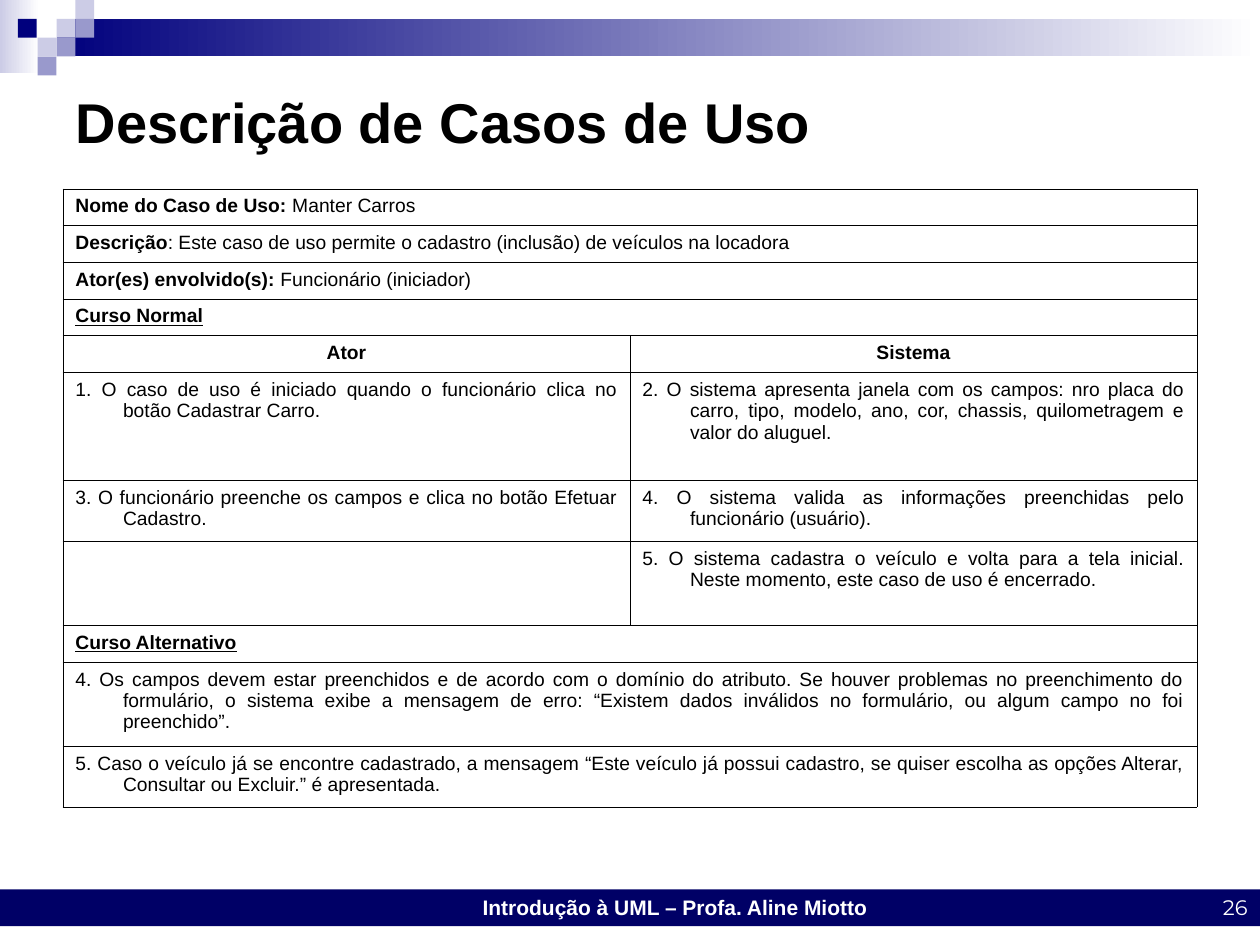
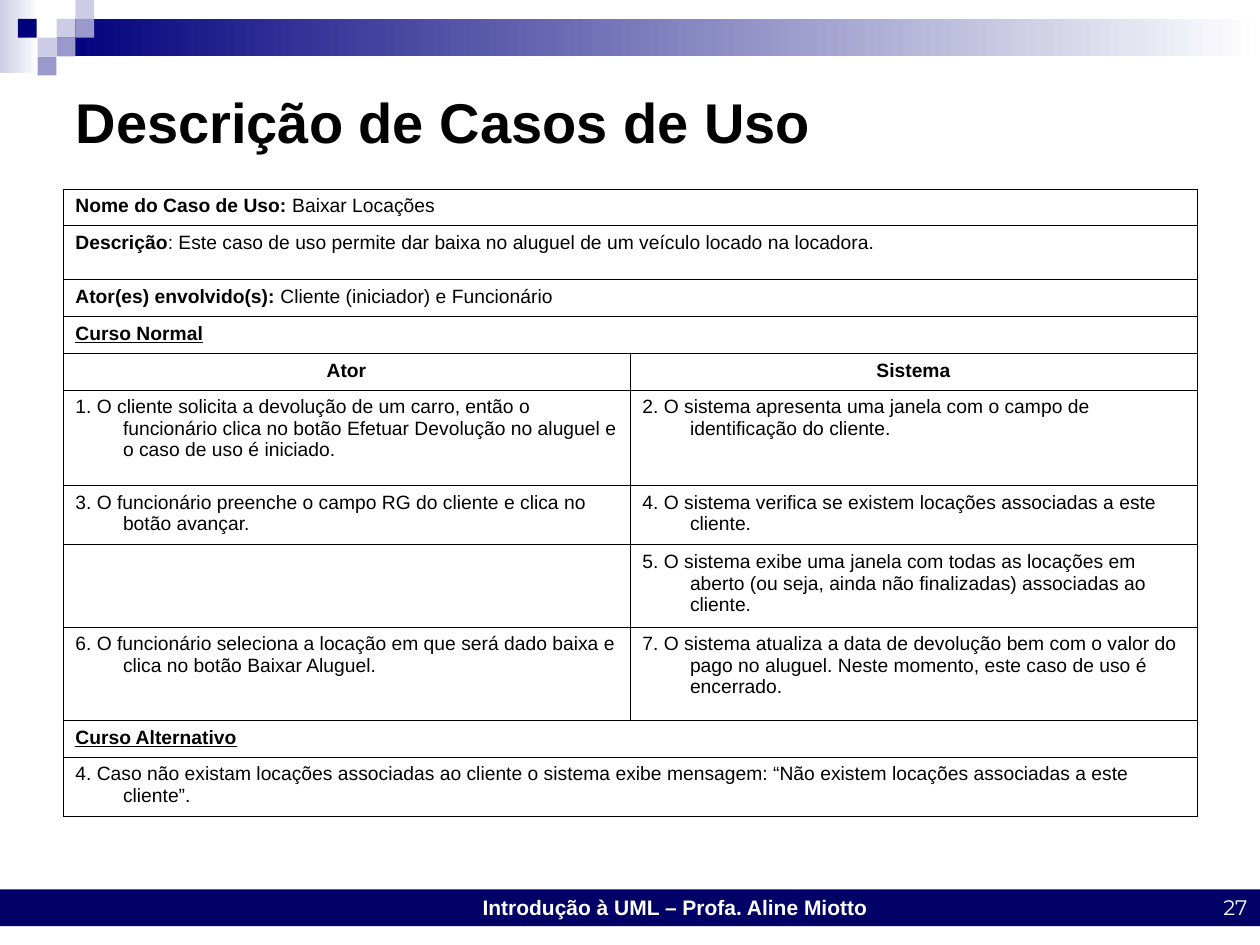
from lxml import etree
from pptx import Presentation
from pptx import util as u
from pptx.dml.color import RGBColor
from pptx.enum import shapes, text
from pptx.oxml import ns

COLORS = {"navy": "00007D", "footer": "000066", "violet": "9999CC",
          "lilac": "CCCCE6", "white": "FFFFFF", "black": "000000"}
TITLE = "Descrição de Casos de Uso"
FOOTER = "Introdução à UML – Profa. Aline Miotto"
LEFT, CENTER, RIGHT, JUSTIFY = (text.PP_ALIGN.LEFT, text.PP_ALIGN.CENTER,
                                text.PP_ALIGN.RIGHT, text.PP_ALIGN.JUSTIFY)

# Table rows are (kind, height in cm, cell texts); a single text spans both columns.
LINE = 0.74
HEADER = ("header", LINE, ["Ator", "Sistema"])
NORMAL = ("section", LINE, ["Curso Normal"])
ALTERNATIVE = ("section", LINE, ["Curso Alternativo"])

USE_CASES = [
    {"number": 26, "step_align": JUSTIFY, "rows": [
        ("field", LINE, [("Nome do Caso de Uso: ", "Manter Carros")]),
        ("field", LINE, [("Descrição", ": Este caso de uso permite o cadastro (inclusão) de veículos na locadora")]),
        ("field", LINE, [("Ator(es) envolvido(s): ", "Funcionário (iniciador)")]),
        NORMAL,
        HEADER,
        ("step", 2.18, ["1. O caso de uso é iniciado quando o funcionário clica no botão Cadastrar Carro.",
                        "2. O sistema apresenta janela com os campos: nro placa do carro, tipo, modelo, "
                        "ano, cor, chassis, quilometragem e valor do aluguel."]),
        ("step", 1.22, ["3. O funcionário preenche os campos e clica no botão Efetuar Cadastro.",
                        "4. O sistema valida as informações preenchidas pelo funcionário (usuário)."]),
        ("step", 1.7, ["", "5. O sistema cadastra o veículo e volta para a tela inicial. "
                           "Neste momento, este caso de uso é encerrado."]),
        ALTERNATIVE,
        ("step", 1.7, ["4. Os campos devem estar preenchidos e de acordo com o domínio do atributo. "
                       "Se houver problemas no preenchimento do formulário, o sistema exibe a mensagem "
                       "de erro: “Existem dados inválidos no formulário, ou algum campo no foi preenchido”."]),
        ("step", 1.22, ["5. Caso o veículo já se encontre cadastrado, a mensagem “Este veículo já possui "
                        "cadastro, se quiser escolha as opções Alterar, Consultar ou Excluir.” é apresentada."]),
    ]},
    {"number": 27, "step_align": LEFT, "rows": [
        ("field", LINE, [("Nome do Caso de Uso: ", "Baixar Locações")]),
        ("field", 1.09, [("Descrição", ": Este caso de uso permite dar baixa no aluguel de um veículo "
                                       "locado na locadora.")]),
        ("field", LINE, [("Ator(es) envolvido(s): ", "Cliente (iniciador) e Funcionário")]),
        NORMAL,
        HEADER,
        ("step", 1.93, ["1. O cliente solicita a devolução de um carro, então o funcionário clica no botão "
                        "Efetuar Devolução no aluguel e o caso de uso é iniciado.",
                        "2. O sistema apresenta uma janela com o campo de identificação do cliente."]),
        ("step", 1.19, ["3. O funcionário preenche o campo RG do cliente e clica no botão avançar.",
                        "4. O sistema verifica se existem locações associadas a este cliente."]),
        ("step", 1.65, ["", "5. O sistema exibe uma janela com todas as locações em aberto "
                            "(ou seja, ainda não finalizadas) associadas ao cliente."]),
        ("step", 1.88, ["6. O funcionário seleciona a locação em que será dado baixa e clica no botão "
                        "Baixar Aluguel.",
                        "7. O sistema atualiza a data de devolução bem com o valor do pago no aluguel. "
                        "Neste momento, este caso de uso é encerrado."]),
        ALTERNATIVE,
        ("step", 1.19, ["4. Caso não existam locações associadas ao cliente o sistema exibe mensagem: "
                        "“Não existem locações associadas a este cliente”."]),
    ]},
]

# Corner mosaic: column, row, colour
SQUARE = 0.38
MOSAIC = [(3, 1, "lilac"), (4, 0, "lilac"), (4, 1, "violet"), (2, 2, "lilac"),
          (0.95, 1, "navy"), (3, 2, "violet"), (2, 3, "violet")]

FONTS = {
    "title": {"name": "Arial", "size": u.Pt(32), "bold": True, "color": "black"},
    "footer": {"name": "Arial", "size": u.Pt(12), "bold": True, "color": "white"},
    "number": {"name": "Montserrat", "size": u.Pt(12), "bold": False, "color": "white"},
    "plain": {"name": "Arial", "size": u.Pt(11), "bold": False, "color": "black"},
}
FONTS["strong"] = {**FONTS["plain"], "bold": True}
FONTS["section"] = {**FONTS["strong"], "underline": True}


def rgb(color):
    return RGBColor.from_string(COLORS[color])


def add_run(p, content, style):
    r = p.add_run()
    r.text = content
    for name, value in FONTS[style].items():
        if name == "color":
            r.font.color.rgb = rgb(value)
        else:
            setattr(r.font, name, value)


def add_band(s, box, start, end=None):
    """Draw a rectangle, plain or fading from left to right."""
    sp = s.shapes.add_shape(shapes.MSO_SHAPE.RECTANGLE, *map(u.Cm, box))
    sp.shadow.inherit = False
    sp.line.fill.background()
    if end is None:
        sp.fill.solid()
        sp.fill.fore_color.rgb = rgb(start)
        return
    sp.fill.gradient()
    sp.fill.gradient_angle = 0
    for stop, position, color in zip(sp.fill.gradient_stops, (0, 1), (start, end)):
        stop.position = position
        stop.color.rgb = rgb(color)


def add_label(s, box, content, style, align, anchor, wrap):
    tf = s.shapes.add_textbox(*map(u.Cm, box)).text_frame
    tf.word_wrap = wrap
    tf.vertical_anchor = anchor
    tf.paragraphs[0].alignment = align
    add_run(tf.paragraphs[0], content, style)


def add_frame(s, number):
    add_band(s, (0, 0, 0.79, 1.47), "lilac", "white")
    add_band(s, (1.14, SQUARE, 24.26, 2 * SQUARE), "navy", "white")
    for col, row, color in MOSAIC:
        add_band(s, (col * SQUARE, row * SQUARE, SQUARE, SQUARE), color)
    add_band(s, (0, 17.93, 25.4, 0.74), "footer")
    add_label(s, (9.47, 17.91, 8.28, 0.76), FOOTER, "footer", CENTER,
              text.MSO_ANCHOR.TOP, False)
    add_label(s, (19.48, 17.4, 5.92, 1.27), str(number), "number", RIGHT,
              text.MSO_ANCHOR.BOTTOM, True)


def format_title(s):
    sp = s.shapes.title
    sp.left, sp.top, sp.width, sp.height = map(u.Cm, (1.27, 1.27, 20.96, 2.34))
    tf = sp.text_frame
    tf.auto_size = text.MSO_AUTO_SIZE.NONE
    tf.vertical_anchor = text.MSO_ANCHOR.MIDDLE
    tf.paragraphs[0].alignment = LEFT
    add_run(tf.paragraphs[0], TITLE, "title")


def set_borders(cell, widths):
    """Put border lines, given as {side: points}, ahead of the cell fill."""
    tc_pr = cell._tc.get_or_add_tcPr()
    for i, side in enumerate("LRTB"):
        ln = etree.Element(ns.qn(f"a:ln{side}"), w=str(u.Pt(widths[side])))
        fill = etree.SubElement(ln, ns.qn("a:solidFill"))
        etree.SubElement(fill, ns.qn("a:srgbClr"), val=COLORS["black"])
        tc_pr.insert(i, ln)


def fill_cell(cell, kind, content, step_align):
    p = cell.text_frame.paragraphs[0]
    p.alignment = {"header": CENTER, "step": step_align}.get(kind, LEFT)
    p_pr = p._p.get_or_add_pPr()
    p_pr.set("marL", str(u.Cm(0.96)))
    p_pr.set("indent", str(u.Cm(-0.96)))
    if kind == "field":
        for part, style in zip(content, ("strong", "plain")):
            add_run(p, part, style)
    elif content:
        add_run(p, content, {"header": "strong", "section": "section"}.get(kind, "plain"))


def add_use_case(s, rows, step_align):
    height = sum(row[1] for row in rows)
    table = s.shapes.add_table(len(rows), 2, *map(u.Cm, (1.27, 3.81, 22.86, height))).table
    table.first_row = table.horz_banding = False
    margins = {"margin_left": 0.25, "margin_right": 0.25, "margin_top": 0.13, "margin_bottom": 0.13}
    for i, (kind, row_height, contents) in enumerate(rows):
        table.rows[i].height = u.Cm(row_height)
        cells = [table.cell(i, col) for col in range(2)]
        for col, cell in enumerate(cells):
            for name, value in margins.items():
                setattr(cell, name, u.Cm(value))
            cell.fill.background()
            widths = dict.fromkeys("LRTB", 0.45)
            if len(contents) == 2:
                widths["RL"[col]] = 0.34
            set_borders(cell, widths)
        if len(contents) == 1:
            cells[0].merge(cells[1])
        for cell, content in zip(cells, contents):
            fill_cell(cell, kind, content, step_align)


def main():
    prs = Presentation()
    prs.slide_width, prs.slide_height = u.Cm(25.4), u.Cm(19.05)
    for case in USE_CASES:
        s = prs.slides.add_slide(prs.slide_layouts[5])
        add_frame(s, case["number"])
        format_title(s)
        add_use_case(s, case["rows"], case["step_align"])
    prs.save("out.pptx")


if __name__ == "__main__":
    main()
